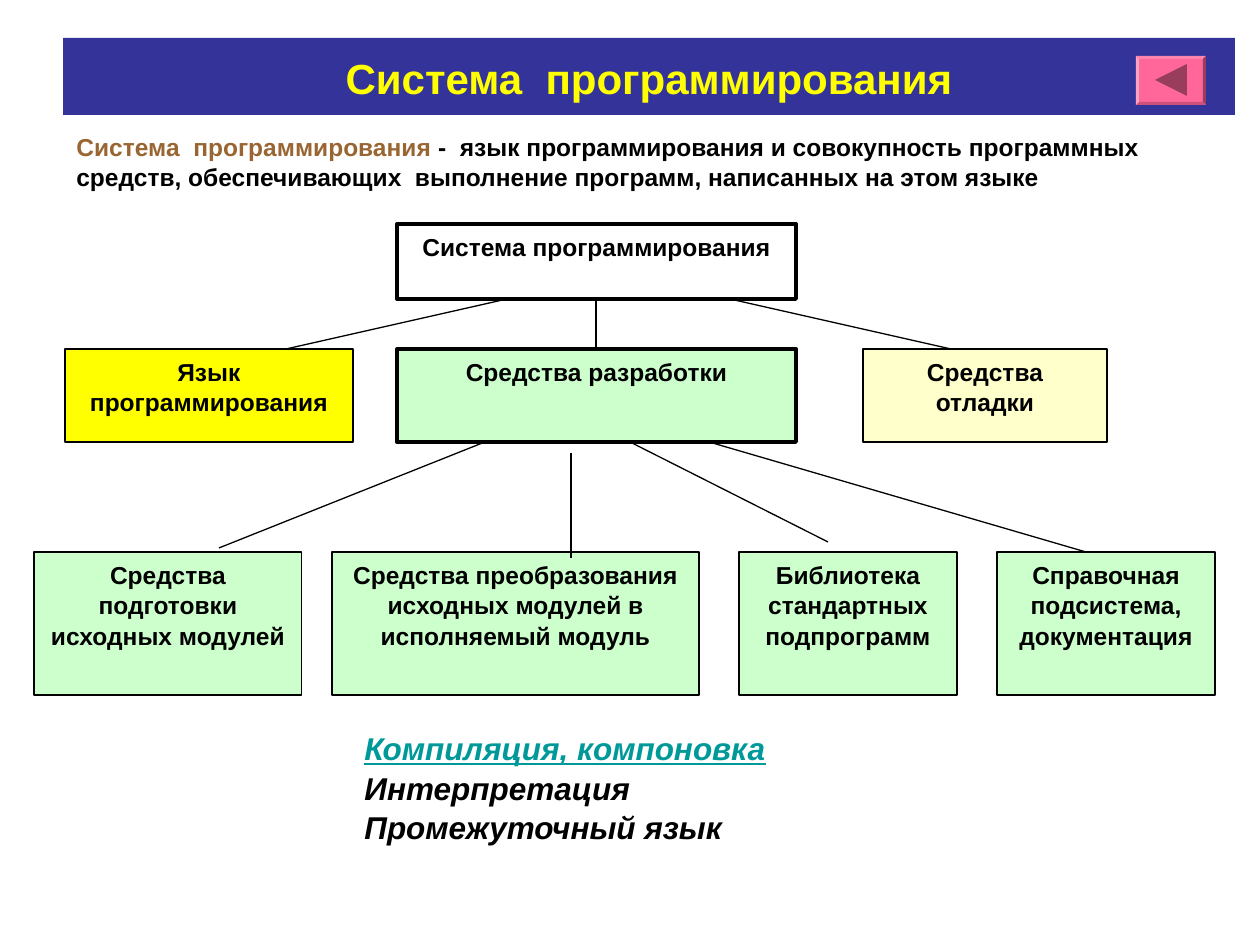
from dataclasses import dataclass

from lxml.etree import SubElement
from pptx import Presentation
from pptx.dml.color import RGBColor
from pptx.enum.shapes import MSO_CONNECTOR as CONNECTOR, MSO_SHAPE as SHAPE
from pptx.enum.text import MSO_ANCHOR as ANCHOR, PP_ALIGN as ALIGN
from pptx.oxml.ns import qn
from pptx.util import Pt

SCALE = 914400 // 126


@dataclass(frozen=True)
class Theme:
    """Colours and type sizes of the slide."""
    font: str = "Arial"
    title_size: int = 24
    text_size: int = 14
    list_size: int = 18
    thin: float = 0.75
    thick: float = 2.25
    spacing: float = 1.05
    ink: str = "000000"
    white: str = "FFFFFF"
    band: str = "333399"
    yellow: str = "FFFF00"
    cream: str = "FFFFCC"
    green: str = "CCFFCC"
    term: str = "996633"
    link: str = "009999"
    button: str = "FF6699"
    button_top: str = "FF85AD"
    button_left: str = "FFA3C2"
    button_bottom: str = "CC527A"
    button_dark: str = "993D5C"


THEME = Theme()


def px(*values):
    """Turn picture pixels into EMU."""
    return [round(value * SCALE) for value in values]


def rgb(code):
    """Make a colour from its hex code."""
    return RGBColor.from_string(code)


def place(shape, left, top, width, height):
    """Move and size a shape in pixels."""
    shape.left, shape.top, shape.width, shape.height = px(left, top, width, height)


def fill(shape, colour):
    """Give a shape a solid fill."""
    shape.fill.solid()
    shape.fill.fore_color.rgb = rgb(colour)


def write(shape, paragraphs, size, align=ALIGN.LEFT, anchor=ANCHOR.TOP,
          italic=False):
    """Fill a shape with paragraphs, each a list of (text, colour) spans."""
    frame = shape.text_frame
    frame.word_wrap = True
    frame.vertical_anchor = anchor
    for index, spans in enumerate(paragraphs):
        para = frame.add_paragraph() if index else frame.paragraphs[0]
        para.alignment = align
        para.line_spacing = THEME.spacing
        para.space_before = para.space_after = Pt(0)
        for text, colour in spans:
            span = para.add_run()
            span.text = text
            span.font.name = THEME.font
            span.font.size = Pt(size)
            span.font.bold = True
            span.font.italic = italic
            span.font.underline = colour == THEME.link
            span.font.color.rgb = rgb(colour)


def add_title(page, text):
    """Format the title placeholder as a coloured band."""
    title = page.shapes.title
    place(title, 63, 38, 1172, 77)
    fill(title, THEME.band)
    write(title, [[(text, THEME.yellow)]], THEME.title_size, ALIGN.CENTER,
          ANCHOR.MIDDLE)


def add_text(page, bounds, paragraphs, size, **options):
    """Add a plain text box."""
    box = page.shapes.add_textbox(*px(*bounds))
    write(box, paragraphs, size, **options)


def add_node(page, bounds, lines, colour, weight=THEME.thin):
    """Add an outlined box of the tree."""
    node = page.shapes.add_shape(SHAPE.RECTANGLE, *px(*bounds))
    node.shadow.inherit = False
    fill(node, colour)
    node.line.color.rgb = rgb(THEME.ink)
    node.line.width = Pt(weight)
    write(node, [[(line, THEME.ink)] for line in lines], THEME.text_size,
          ALIGN.CENTER)


def add_branch(page, start_x, start_y, end_x, end_y):
    """Add a thin line between levels of the tree."""
    branch = page.shapes.add_connector(
        CONNECTOR.STRAIGHT, *px(start_x, start_y, end_x, end_y))
    branch.line.color.rgb = rgb(THEME.ink)
    branch.line.width = Pt(THEME.thin)
    SubElement(branch._element.spPr, qn("a:effectLst"))


def add_polygon(page, points, colour):
    """Add a closed, unlined polygon."""
    builder = page.shapes.build_freeform(*points[0], scale=SCALE)
    builder.add_line_segments(points[1:], close=True)
    polygon = builder.convert_to_shape()
    polygon.shadow.inherit = False
    fill(polygon, colour)
    polygon.line.fill.background()


def add_back_button(page, left, top, right, bottom, bevel=3):
    """Add a bevelled button with an arrow pointing left."""
    outer = [(left, top), (right, top), (right, bottom), (left, bottom)]
    inner = [(left + bevel, top + bevel), (right - bevel, top + bevel),
             (right - bevel, bottom - bevel), (left + bevel, bottom - bevel)]
    add_polygon(page, outer, THEME.button)
    edges = [THEME.button_top, THEME.button_dark,
             THEME.button_bottom, THEME.button_left]
    for side, colour in enumerate(edges):
        after = (side + 1) % 4
        add_polygon(page, [outer[side], outer[after], inner[after], inner[side]],
                    colour)
    middle_x, middle_y, reach = (left + right) // 2, (top + bottom) // 2, 16
    add_polygon(page, [(middle_x - reach, middle_y),
                       (middle_x + reach, middle_y - reach),
                       (middle_x + reach, middle_y + reach)], THEME.button_dark)


def add_tree(page):
    """Add the three levels of boxes and their branches."""
    add_node(page, (397, 224, 399, 75), ["Система программирования"],
             THEME.white, THEME.thick)
    tools = [
        (65, 288, ["Язык", "программирования"], THEME.yellow, THEME.thin),
        (397, 399, ["Средства разработки"], THEME.green, THEME.thick),
        (863, 244, ["Средcтва отладки"], THEME.cream, THEME.thin),
    ]
    for left, width, lines, colour, weight in tools:
        add_node(page, (left, 349, width, 93), lines, colour, weight)
    parts = [
        (34, 268, "Средства подготовки исходных модулей"),
        (332, 367, "Средства преобразования исходных модулей в исполняемый модуль"),
        (739, 218, "Библиотека стандартных подпрограмм"),
        (997, 218, "Справочная подсистема, документация"),
    ]
    for left, width, text in parts:
        add_node(page, (left, 552, width, 143), [text], THEME.green)
    for start_x, end_x in [(596, 596), (507, 286), (730, 951)]:
        add_branch(page, start_x, 299, end_x, 349)
    for ends in [(571, 453, 571, 558), (485, 442, 219, 548),
                 (630, 442, 828, 542), (709, 442, 1086, 552)]:
        add_branch(page, *ends)


def main():
    """Build the slide and save the deck."""
    deck = Presentation()
    deck.slide_width, deck.slide_height = px(1260, 945)
    page = deck.slides.add_slide(deck.slide_layouts[5])
    add_title(page, "Cистема  программирования")
    add_text(page, (64, 125, 1147, 72), [[
        ("Система  программирования ", THEME.term),
        ("-  язык программирования и совокупность программных средств, "
         "обеспечивающих  выполнение программ, написанных на этом языке",
         THEME.ink)]], THEME.text_size, anchor=ANCHOR.MIDDLE)
    add_text(page, (352, 721, 586, 126), [
        [("Компиляция, компоновка", THEME.link)],
        [("Интерпретация", THEME.ink)],
        [("Промежуточный язык", THEME.ink)]], THEME.list_size, italic=True)
    add_back_button(page, 1136, 56, 1206, 105)
    add_tree(page)
    deck.save("out.pptx")


main()
